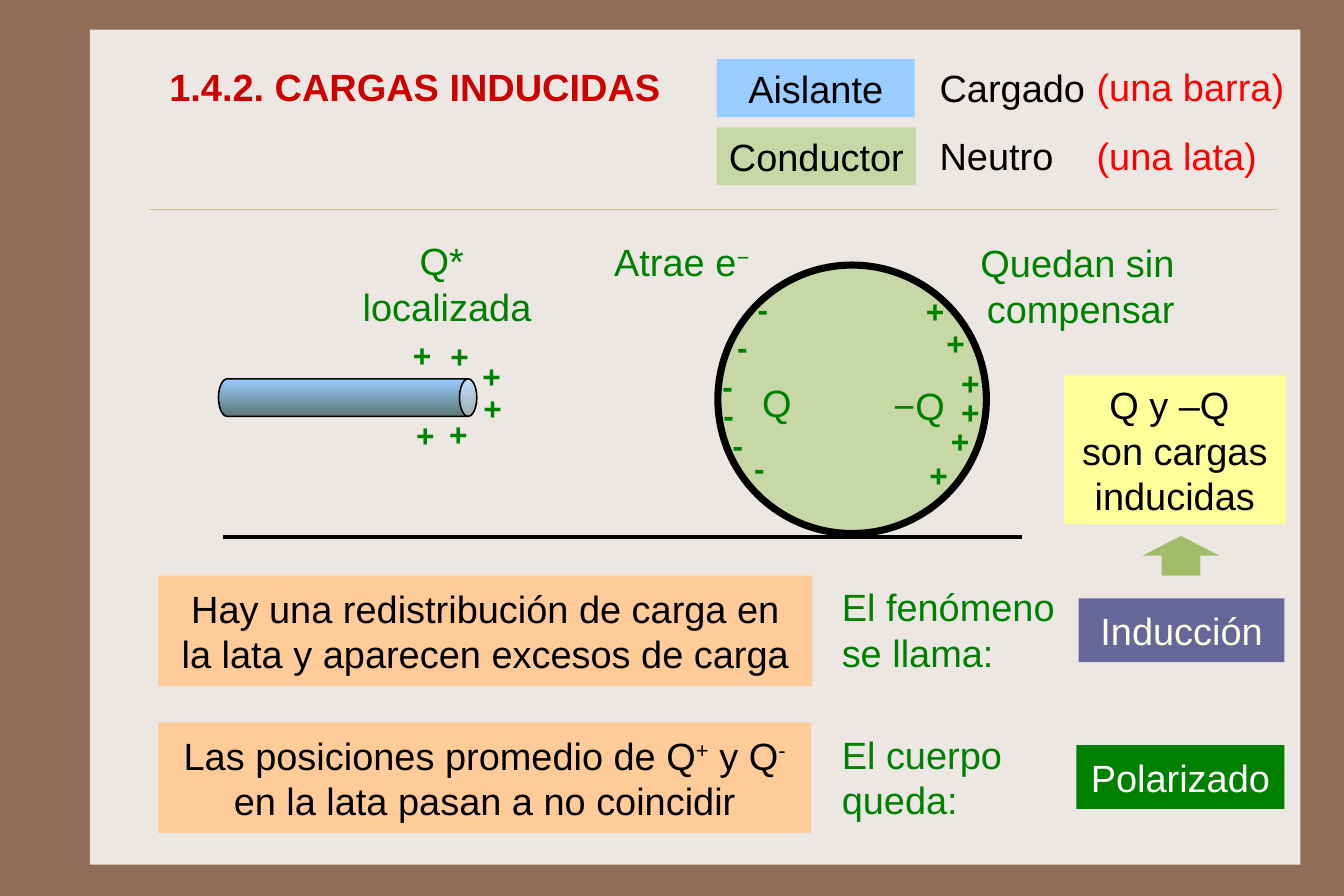
"""Build the slide on induced charges: a charged bar beside a neutral can."""
import pptx
import pptx.dml.color
import pptx.enum.shapes
import pptx.enum.text
import pptx.oxml
import pptx.oxml.ns
import pptx.util

EMU_PER_PX = 2286
SLIDE_SIZE = (4725, 3150)
FONT = "Arial"
BLACK, WHITE, GREEN, RED = "000000", "FFFFFF", "008000", "FF0000"
SKY, SAGE, PEACH = "99CCFF", "C7D7A5", "FFCC99"

PANEL = (316, 104, 4256, 2936)
CAN = (2524, 932, 944, 944)
BAR = (1156, 944, 132, 908)
ARROW = (4016, 1884, 272, 140)
RULES = [
    ((524, 736), (4488, 736), "CBBD83", 0.25),
    ((784, 1888), (3592, 1888), BLACK, 3),
]

TITLE = ("1.4.2. CARGAS INDUCIDAS", (556, 200, 2968, 204))

SLIM, WIDE = (40, 20), (48, 32)

# text, box, fill, colour, margins
BOXES = [
    ("Aislante", (2520, 208, 696, 204), SKY, BLACK, SLIM),
    ("Conductor", (2520, 448, 700, 204), SAGE, BLACK, SLIM),
    ("Q y –Q \vson cargas inducidas", (3740, 1320, 780, 524),
     "FFFF99", BLACK, SLIM),
    ("Hay una redistribución de carga en la lata y aparecen excesos de carga",
     (556, 2024, 2300, 388), PEACH, BLACK, WIDE),
    ("Las posiciones promedio de Q^+^ y Q^-^\nen la lata pasan a no coincidir",
     (556, 2540, 2296, 388), PEACH, BLACK, WIDE),
    ("Inducción", (3792, 2104, 724, 224), "666699", "FEFDE3", WIDE),
    ("Polarizado", (3784, 2620, 732, 224), GREEN, WHITE, WIDE),
]

# text, box, colour, alignment
LABELS = [
    ("Cargado", (3264, 208, 596, 204), BLACK, "LEFT"),
    ("Neutro", (3264, 448, 520, 204), BLACK, "LEFT"),
    ("(una barra)", (3816, 204, 748, 204), RED, "LEFT"),
    ("(una lata)", (3816, 448, 684, 204), RED, "LEFT"),
    ("Q*", (1436, 816, 260, 172), GREEN, "LEFT"),
    ("localizada", (1236, 976, 680, 172), GREEN, "LEFT"),
    ("Atrae e^−^", (2120, 820, 580, 172), GREEN, "LEFT"),
    ("Quedan sin\ncompensar", (3348, 824, 820, 172), GREEN, "RIGHT"),
    ("Q", (2640, 1316, 190, 172), GREEN, "LEFT"),
    (" −Q", (3064, 1324, 320, 172), GREEN, "LEFT"),
    ("El fenómeno se llama:", (2920, 2032, 848, 364), GREEN, "LEFT"),
    ("El cuerpo queda:", (2920, 2552, 820, 364), GREEN, "LEFT"),
]

# sign, box width, top left corners
CHARGES = [
    ("+", 156, [(1412, 1160), (1544, 1164), (1656, 1236),
                (1660, 1348), (1540, 1440), (1424, 1444)]),
    ("+", 156, [(3216, 1008), (3288, 1120), (3340, 1260),
                (3340, 1360), (3304, 1464), (3228, 1584)]),
    ("-", 124, [(2624, 1000), (2552, 1132), (2500, 1272),
                (2504, 1372), (2536, 1476), (2612, 1560)]),
]
CHARGE_HEIGHT = 200


def px(length):
    return pptx.util.Emu(length * EMU_PER_PX)


def rgb(colour):
    return pptx.dml.color.RGBColor.from_string(colour)


def add_shape(slide, kind, box, fill=None, line=None, width=1):
    shape_type = getattr(pptx.enum.shapes.MSO_SHAPE, kind)
    shape = slide.shapes.add_shape(shape_type, *map(px, box))
    shape.shadow.inherit = False
    if fill:
        shape.fill.solid()
        shape.fill.fore_color.rgb = rgb(fill)
    if line:
        shape.line.color.rgb = rgb(line)
        shape.line.width = pptx.util.Pt(width)
    else:
        shape.line.fill.background()
    return shape


def add_rule(slide, start, end, colour, width):
    rule = slide.shapes.add_connector(
        pptx.enum.shapes.MSO_CONNECTOR.STRAIGHT, *map(px, start + end))
    rule.line.color.rgb = rgb(colour)
    rule.line.width = pptx.util.Pt(width)
    properties = rule._element.spPr
    properties.append(pptx.oxml.parse_xml(
        f"<a:effectLst {pptx.oxml.ns.nsdecls('a')}/>"))


def write(shape, text, colour, align="LEFT", anchor="TOP", margins=SLIM,
          size=24, bold=False):
    frame = shape.text_frame
    frame.word_wrap = True
    frame.margin_left = frame.margin_right = px(margins[0])
    frame.margin_top = frame.margin_bottom = px(margins[1])
    frame.vertical_anchor = getattr(pptx.enum.text.MSO_ANCHOR, anchor)
    frame.text = text
    for paragraph in frame.paragraphs:
        paragraph.alignment = getattr(pptx.enum.text.PP_ALIGN, align)
        pieces = paragraph.text.split("^")
        paragraph.text = pieces[0]
        for index, piece in enumerate(pieces[1:], start=1):
            if piece:
                run = paragraph.add_run()
                run.text = piece
                if index % 2:
                    run.font._element.set("baseline", "30000")
        for run in paragraph.runs:
            run.font.name = FONT
            run.font.size = pptx.util.Pt(size)
            run.font.bold = bold
            run.font.color.rgb = rgb(colour)


def add_label(slide, text, box, colour, align="LEFT", **style):
    write(slide.shapes.add_textbox(*map(px, box)), text, colour, align, **style)


def add_bar(slide):
    bar = add_shape(slide, "CAN", BAR, line=BLACK)
    bar.rotation = 90
    bar.adjustments[0] = 0.46
    bar.fill.gradient()
    bar.fill.gradient_angle = 0
    for stop, colour in zip(bar.fill.gradient_stops, (SKY, "5E7676")):
        stop.color.rgb = rgb(colour)


def main():
    presentation = pptx.Presentation()
    presentation.slide_width, presentation.slide_height = map(px, SLIDE_SIZE)
    slide = presentation.slides.add_slide(presentation.slide_layouts[6])
    slide.background.fill.solid()
    slide.background.fill.fore_color.rgb = rgb("906D58")

    add_shape(slide, "RECTANGLE", PANEL, "EDE7E3")
    add_shape(slide, "OVAL", CAN, SAGE, BLACK, 4.5)
    for rule in RULES:
        add_rule(slide, *rule)
    add_bar(slide)
    add_shape(slide, "UP_ARROW", ARROW, "A1BD69")

    add_label(slide, *TITLE, "CC0000", anchor="MIDDLE", bold=True)
    for text, box, fill, colour, margins in BOXES:
        shape = add_shape(slide, "RECTANGLE", box, fill)
        write(shape, text, colour, "CENTER", "MIDDLE", margins)
    for label in LABELS:
        add_label(slide, *label)
    for sign, width, corners in CHARGES:
        for corner in corners:
            box = (*corner, width, CHARGE_HEIGHT)
            add_label(slide, sign, box, GREEN, size=20, bold=True)

    presentation.save("out.pptx")


if __name__ == "__main__":
    main()
